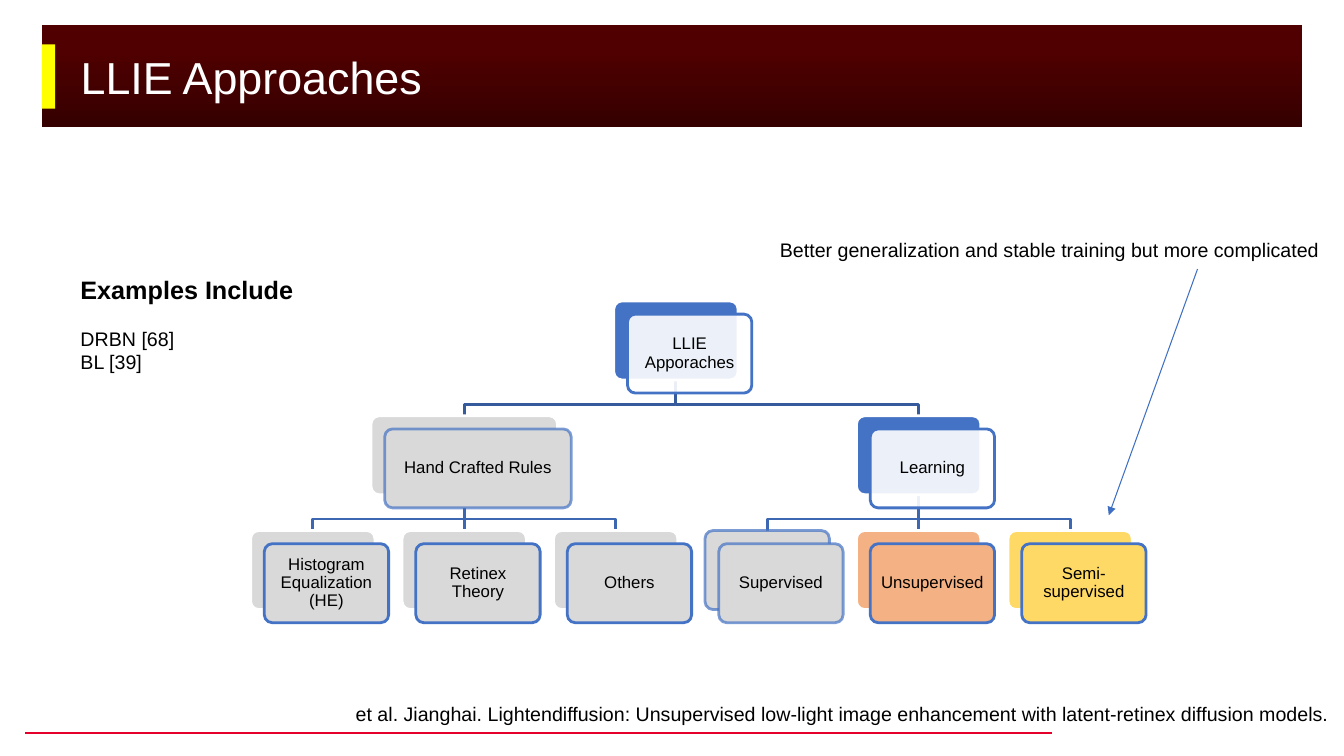
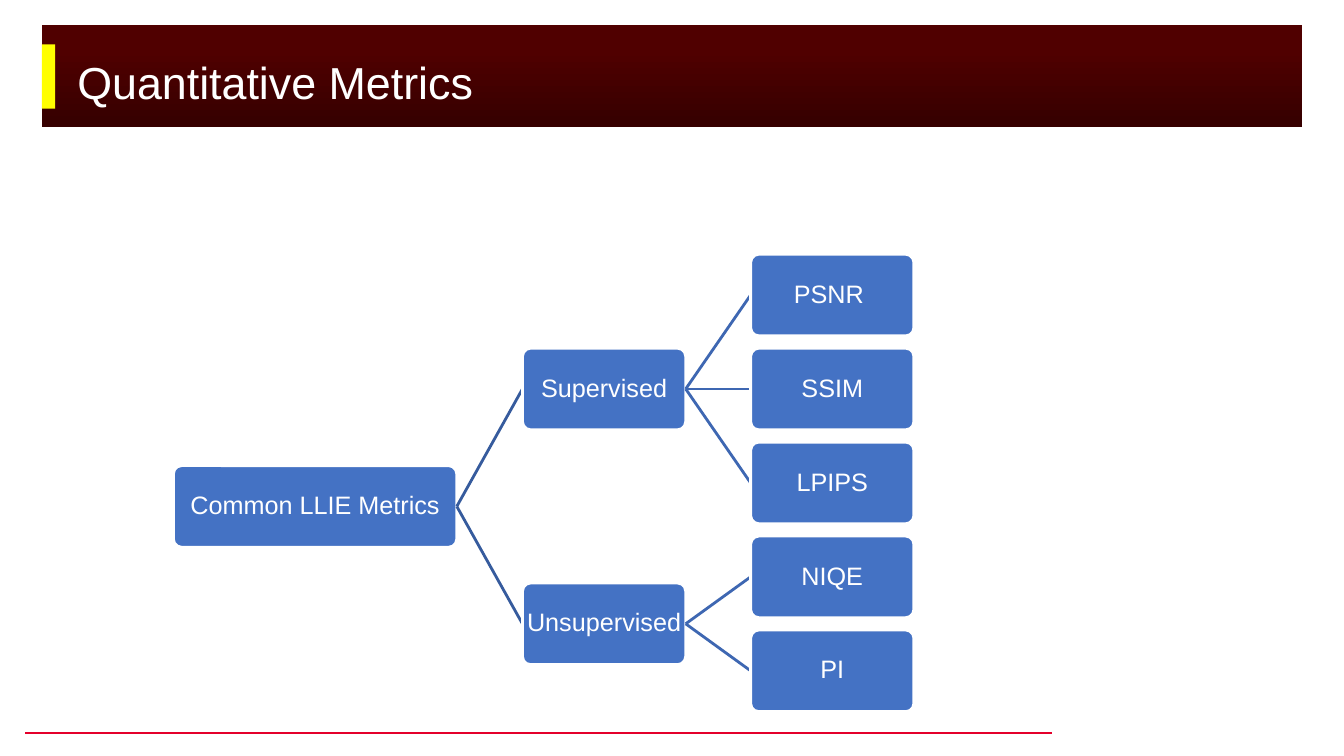
from dataclasses import dataclass

from lxml.etree import SubElement
from pptx import Presentation
from pptx.dml.color import RGBColor
from pptx.enum.shapes import MSO_CONNECTOR, MSO_SHAPE
from pptx.enum.text import MSO_ANCHOR, PP_ALIGN
from pptx.oxml.ns import qn
from pptx.util import Pt


@dataclass(frozen=True)
class Theme:
    font: str = "Arial"
    white: str = "FFFFFF"
    black: str = "000000"
    blue: str = "4472C4"
    navy: str = "365B9D"
    steel: str = "3E67B2"
    arrow: str = "3F6FC3"
    grey: str = "D9D9D9"
    peach: str = "F4B183"
    gold: str = "FFD966"
    dark: str = "370000"
    wine: str = "500000"
    yellow: str = "FFFF00"
    red: str = "E4002B"
    title: int = 32
    large: int = 18
    body: int = 14
    small: int = 12


T = Theme()
CARD_W, CARD_H = 88.8, 56.4
SHIFT_X, SHIFT_Y = 9.8, 9.4
ROWS = (215, 297, 379)
LEAF_X, LEAF_STEP = 179, 108.2
DROP = 17.3
NODE_H, NODE_STEP, NODE_TOP = 58.3, 67.1, 181.6
COLS = ((123.9, 202.4), (373.2, 116.6), (536.2, 116.6))

RULES = (
    ("Hand Crafted Rules", 133.2, T.grey, 70, (
        ("Histogram Equalization (HE)", T.grey, 100),
        ("Retinex Theory", T.grey, 100),
        ("Others", T.grey, 100))),
    ("Learning", CARD_W, None, 100, (
        ("Supervised", T.grey, 70),
        ("Unsupervised", T.peach, 100),
        ("Semi-supervised", T.gold, 100))),
)
METRICS = ("Common LLIE Metrics", (
    ("Supervised", (("PSNR ", ()), ("SSIM", ()), ("LPIPS", ()))),
    ("Unsupervised", (("NIQE", ()), ("PI", ()))),
))


def tint(code):
    return RGBColor.from_string(code)


def style(para, size, color, bold=False):
    for run in para.runs:
        run.font.name = T.font
        run.font.size = Pt(size)
        run.font.bold = bold
        run.font.color.rgb = tint(color)


def fade(parent, percent):
    color = parent.find(qn("a:solidFill"))[0]
    SubElement(color, qn("a:alpha")).set("val", str(percent * 1000))


def stroke(line, color, width):
    line.color.rgb = tint(color)
    line.width = Pt(width)


def block(slide, kind, left, top, width, height, fill):
    shape = slide.shapes.add_shape(kind, Pt(left), Pt(top), Pt(width), Pt(height))
    shape.shadow.inherit = False
    shape.fill.solid()
    shape.fill.fore_color.rgb = tint(fill)
    shape.line.fill.background()
    return shape


def tile(slide, left, top, width, height, fill, edge):
    shape = block(slide, MSO_SHAPE.ROUNDED_RECTANGLE, left, top, width, height, fill)
    shape.adjustments[0] = 0.1
    stroke(shape.line, edge, 2)
    return shape


def label(shape, text, size, color, inset):
    frame = shape.text_frame
    frame.word_wrap = True
    frame.vertical_anchor = MSO_ANCHOR.MIDDLE
    frame.margin_left = frame.margin_right = Pt(inset)
    frame.margin_top = frame.margin_bottom = Pt(inset)
    frame.text = text
    para = frame.paragraphs[0]
    para.alignment = PP_ALIGN.CENTER
    para.line_spacing = 0.9
    style(para, size, color)


def rule(slide, start, end, color, width):
    line = slide.shapes.add_connector(
        MSO_CONNECTOR.STRAIGHT, *(Pt(n) for n in (*start, *end)))
    stroke(line.line, color, width)
    SubElement(line.element.spPr, qn("a:effectLst"))
    return line


def branch(slide, start, end, color):
    if abs(start[0] - end[0]) < 1:
        rule(slide, start, end, color, 2)
        return
    bend = start[1] + DROP
    points = [(Pt(x), Pt(y)) for x, y in (start, (start[0], bend), (end[0], bend), end)]
    maker = slide.shapes.build_freeform(*points[0])
    maker.add_line_segments(points[1:], close=False)
    shape = maker.convert_to_shape()
    shape.shadow.inherit = False
    shape.fill.background()
    stroke(shape.line, color, 2)


def note(slide, left, top, width, height, lines):
    frame = slide.shapes.add_textbox(Pt(left), Pt(top), Pt(width), Pt(height)).text_frame
    frame.word_wrap = False
    frame.text = "\n".join(text for text, *_ in lines)
    for para, (_, size, bold, gap) in zip(frame.paragraphs, lines):
        style(para, size, T.black, bold)
        if gap:
            para.space_before = Pt(gap)


def dress(slide):
    base = rule(slide, (18, 523.5), (751.7, 523.5), T.red, 1)
    band = block(slide, MSO_SHAPE.RECTANGLE, 30, 18, 900, 73, T.wine)
    band.fill.gradient()
    band.fill.gradient_angle = 90
    for stop, color, place in zip(
            band.fill.gradient_stops, (T.dark, T.wine), (0.05, 0.76)):
        stop.color.rgb = tint(color)
        stop.position = place
    mark = block(slide, MSO_SHAPE.RECTANGLE, 30, 31.7, 9.5, 46, T.yellow)
    for part in (base, band, mark):
        slide.slide_layout.shapes.element.append(part.element)


def head(slide, text, left, top, width, height):
    title = slide.shapes.title
    title.left, title.top = Pt(left), Pt(top)
    title.width, title.height = Pt(width), Pt(height)
    frame = title.text_frame
    frame.text = text
    frame.vertical_anchor = MSO_ANCHOR.MIDDLE
    frame.paragraphs[0].alignment = PP_ALIGN.LEFT
    style(frame.paragraphs[0], T.title, T.white)


def card(slide, text, center, top, width=CARD_W, fill=None, edge=100, rim=T.white):
    left = center - width / 2
    back = tile(slide, left, top, width, CARD_H, fill or T.blue, rim)
    front = tile(slide, left + SHIFT_X, top + SHIFT_Y, width, CARD_H,
                 fill or T.white, T.blue)
    if not fill:
        fade(front.element.spPr, 90)
    if edge < 100:
        fade(front.line._get_or_add_ln(), edge)
        if rim != T.white:
            fade(back.line._get_or_add_ln(), edge)
    label(front, text, T.small, T.black, 3.8)


def chart(slide):
    root = 482.8
    cards = [("LLIE Apporaches", root, ROWS[0])]
    first = LEAF_X + CARD_W / 2
    for text, width, fill, edge, leaves in RULES:
        spots = [first + n * LEAF_STEP for n in range(len(leaves))]
        center = sum(spots) / len(spots)
        branch(slide, (root, ROWS[0] + CARD_H), (center, ROWS[1]), T.navy)
        cards.append((text, center, ROWS[1], width, fill, edge))
        for spot, (name, shade, rim) in zip(spots, leaves):
            branch(slide, (center, ROWS[1] + CARD_H), (spot, ROWS[2]), T.steel)
            cards.append((name, spot, ROWS[2], CARD_W, shade, rim,
                          T.blue if rim < 100 else T.white))
        first = spots[-1] + LEAF_STEP
    for item in cards:
        card(slide, *item)


def count(node):
    return sum(map(count, node[1])) or 1


def middle(node, row):
    if not node[1]:
        return NODE_TOP + row * NODE_STEP + NODE_H / 2
    spots = []
    for child in node[1]:
        spots.append(middle(child, row))
        row += count(child)
    return sum(spots) / len(spots)


def grow(slide, node, row=0, depth=0):
    text, kids = node
    left, width = COLS[depth]
    center = middle(node, row)
    shape = tile(slide, left, center - NODE_H / 2, width, NODE_H, T.blue, T.white)
    label(shape, text, T.large, T.white, 0.7)
    for child in kids:
        rule(slide, (left + width, center), (COLS[depth + 1][0], middle(child, row)),
             (T.navy, T.steel)[depth], 2)
        grow(slide, child, row, depth + 1)
        row += count(child)


def main():
    deck = Presentation()
    deck.slide_width, deck.slide_height = Pt(960), Pt(540)
    layout = deck.slide_layouts[5]

    types = deck.slides.add_slide(layout)
    dress(types)
    head(types, "LLIE Approaches", 50.4, 18, 605.5, 73)
    chart(types)
    note(types, 550, 166.5, 405, 24.2, [
        ("Better generalization and stable training but more complicated",
         T.body, False, 0)])
    arrow = rule(types, (855.4, 192.2), (792, 368), T.arrow, 0.75)
    SubElement(arrow.line._get_or_add_ln(), qn("a:tailEnd")).set("type", "triangle")
    note(types, 50.4, 192.2, 197, 80, [
        ("Examples Include", T.large, True, 0),
        ("DRBN [68]", T.body, False, 16),
        ("BL [39]", T.body, False, 0)])
    note(types, 247, 498.2, 712, 24.2, [
        ("et al. Jianghai. Lightendiffusion: Unsupervised low-light image enhancement "
         "with latent-retinex diffusion models.", T.body, False, 0)])

    scores = deck.slides.add_slide(layout)
    head(scores, "Quantitative Metrics", 48, 13.2, 864, 90)
    grow(scores, METRICS)

    deck.save("out.pptx")


if __name__ == "__main__":
    main()
